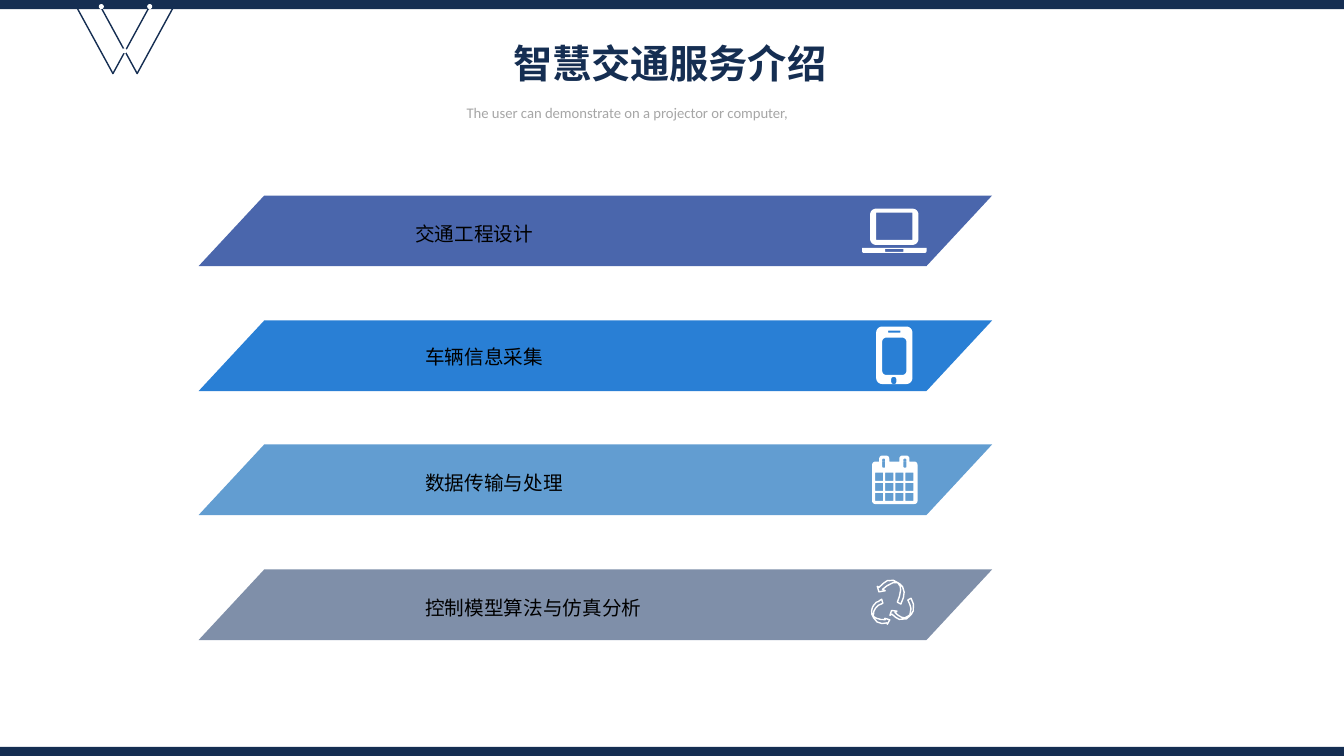
from dataclasses import dataclass
from math import cos, pi, sin

from pptx import Presentation
from pptx.dml.color import RGBColor
from pptx.enum.shapes import MSO_SHAPE
from pptx.enum.text import MSO_AUTO_SIZE, PP_ALIGN
from pptx.util import Emu, Pt

RECT = MSO_SHAPE.RECTANGLE
TRIANGLE = MSO_SHAPE.ISOSCELES_TRIANGLE
OVAL = MSO_SHAPE.OVAL
PARALLELOGRAM = MSO_SHAPE.PARALLELOGRAM
FIT_SHAPE = MSO_AUTO_SIZE.SHAPE_TO_FIT_TEXT
LEFT, JUSTIFY = PP_ALIGN.LEFT, PP_ALIGN.JUSTIFY

PX = 9144
SLIDE_W, SLIDE_H = 1333, 750
NAVY, WHITE, BLACK, GREY = "152E52", "FFFFFF", "000000", "A6A6A6"
BAND_TOP, BAND_SPAN = 194, 371

Contour = list[tuple[float, float]]


@dataclass(frozen=True)
class Service:
    label: str
    color: str
    label_x: int
    label_y: int
    label_w: int
    icon: list[Contour]
    outlined: bool = False
    rotation: float = 0


def px(n: float) -> Emu:
    return Emu(round(n * PX))


def rgb(color: str) -> RGBColor:
    return RGBColor.from_string(color)


def style(sp, fill: str | None, line: str | None, rotation: float) -> None:
    sp.shadow.inherit = False
    sp.rotation = rotation
    if fill:
        sp.fill.solid()
        sp.fill.fore_color.rgb = rgb(fill)
    else:
        sp.fill.background()
    if line:
        sp.line.color.rgb = rgb(line)
        sp.line.width = Pt(1)
    else:
        sp.line.fill.background()


def add_preset(s, kind, x: int, y: int, w: int, h: int, *, fill: str | None = None,
               line: str | None = None, rotation: float = 0):
    sp = s.shapes.add_shape(kind, px(x), px(y), px(w), px(h))
    style(sp, fill, line, rotation)
    return sp


def add_icon(s, contours: list[Contour], *, fill: str | None = None,
             line: str | None = None, rotation: float = 0) -> None:
    first, *others = [[(px(x), px(y)) for x, y in c] for c in contours]
    builder = s.shapes.build_freeform(*first[0])
    builder.add_line_segments(first[1:], close=True)
    for contour in others:
        builder.move_to(*contour[0])
        builder.add_line_segments(contour[1:], close=True)
    style(builder.convert_to_shape(), fill, line, rotation)


def add_text(s, text: str, x: int, y: int, w: int, h: int, *, size: float = 14,
             color: str = BLACK, font: str = "Arial", bold: bool = False,
             align=JUSTIFY, spacing: float = 1.2) -> None:
    tf = s.shapes.add_textbox(px(x), px(y), px(w), px(h)).text_frame
    tf.word_wrap = True
    tf.auto_size = FIT_SHAPE
    p = tf.paragraphs[0]
    p.alignment = align
    p.line_spacing = spacing
    r = p.add_run()
    r.text = text
    r.font.size = Pt(size)
    r.font.name = font
    r.font.bold = bold
    r.font.color.rgb = rgb(color)


def rounded(x: int, y: int, w: int, h: int, top: int = 0, bottom: int = 0) -> Contour:
    corners = [(x + top, y + top, top, 2), (x + w - top, y + top, top, 3),
               (x + w - bottom, y + h - bottom, bottom, 0),
               (x + bottom, y + h - bottom, bottom, 1)]
    steps = 6
    return [(cx + r * cos(a), cy + r * sin(a))
            for cx, cy, r, quarter in corners
            for a in [(quarter + k / steps) * pi / 2 for k in range(steps + 1 if r else 1)]]


LAPTOP = [rounded(863, 207, 48, 36, 6, 6), rounded(869, 211, 36, 27),
          rounded(855, 246, 64, 5, 0, 2), rounded(878, 247, 18, 3)]

PHONE = [rounded(869, 324, 36, 57, 6, 6), rounded(875, 335, 24, 37, 4, 4),
         rounded(881, 328, 12, 2), rounded(884, 374, 5, 7, 2, 2)]

CALENDAR = [
    rounded(865, 458, 45, 42, 3, 3),
    *[rounded(x, 452, 10, 6, 3) for x in (872, 892)],
    *[rounded(x, 455, 3, 9, 1, 1) for x in (875, 896)],
    *[rounded(868 + 10 * col, 469 + 10 * row, 8, 8) for row in range(3) for col in range(4)],
]

CYCLE = [
    [(877, 605), (881, 605), (882, 611), (884, 617), (886, 620), (890, 622), (894, 620),
     (896, 617), (898, 614), (900, 609), (897, 609), (902, 605), (906, 609), (904, 609),
     (902, 615), (900, 619), (898, 620), (895, 622), (888, 622), (884, 621), (880, 617),
     (878, 612)],
    [(881, 590), (882, 595), (877, 597), (878, 595), (874, 594), (870, 594), (867, 595),
     (865, 598), (864, 600), (865, 603), (866, 606), (869, 609), (873, 612), (871, 615),
     (866, 611), (863, 605), (863, 601), (865, 595), (868, 593), (871, 591), (875, 591),
     (880, 592)],
    [(889, 578), (894, 580), (897, 582), (899, 585), (900, 588), (900, 591), (899, 595),
     (898, 596), (896, 600), (893, 597), (896, 593), (897, 589), (897, 586), (895, 581),
     (891, 581), (887, 582), (883, 584), (884, 585), (879, 586), (879, 581), (880, 582),
     (884, 579)],
]

SERVICES = [
    Service("交通工程设计", "4A66AC", 402, 211, 317, LAPTOP),
    Service("车辆信息采集", "297FD5", 412, 333, 291, PHONE),
    Service("数据传输与处理", "629DD1", 412, 458, 307, CALENDAR),
    Service("控制模型算法与仿真分析", "7F8FA9", 412, 582, 337, CYCLE, True, 209.2),
]


def add_frame(s) -> None:
    for y in (0, SLIDE_H - 9):
        add_preset(s, RECT, 0, y, SLIDE_W, 9, fill=NAVY)
    for x in (100, 76):
        add_preset(s, TRIANGLE, x, 7, 72, 66, line=NAVY, rotation=180)
    for x, y in ((121, 48), (146, 4), (98, 4)):
        add_preset(s, OVAL, x, y, 5, 5, fill=WHITE)


def add_service(s, service: Service, index: int) -> None:
    y = BAND_TOP + round(index * BAND_SPAN / (len(SERVICES) - 1))
    band = add_preset(s, PARALLELOGRAM, 197, y, 787, 70, fill=service.color)
    band.adjustments[0] = 0.93
    paint = {"line": WHITE} if service.outlined else {"fill": WHITE}
    add_icon(s, service.icon, rotation=service.rotation, **paint)
    add_text(s, service.label, service.label_x, service.label_y, service.label_w, 36)


def main() -> None:
    prs = Presentation()
    prs.slide_width, prs.slide_height = px(SLIDE_W), px(SLIDE_H)
    s = prs.slides.add_slide(prs.slide_layouts[6])
    add_frame(s)
    for index, service in enumerate(SERVICES):
        add_service(s, service, index)
    add_text(s, "智慧交通服务介绍", 499, 28, 336, 60, size=28, color=NAVY, bold=True,
             align=LEFT, spacing=1.14)
    add_text(s, "The user can demonstrate on a projector or computer,", 453, 96, 427, 29,
             size=10.5, color=GREY, font="Calibri", spacing=1.14)
    prs.save("out.pptx")


if __name__ == "__main__":
    main()
